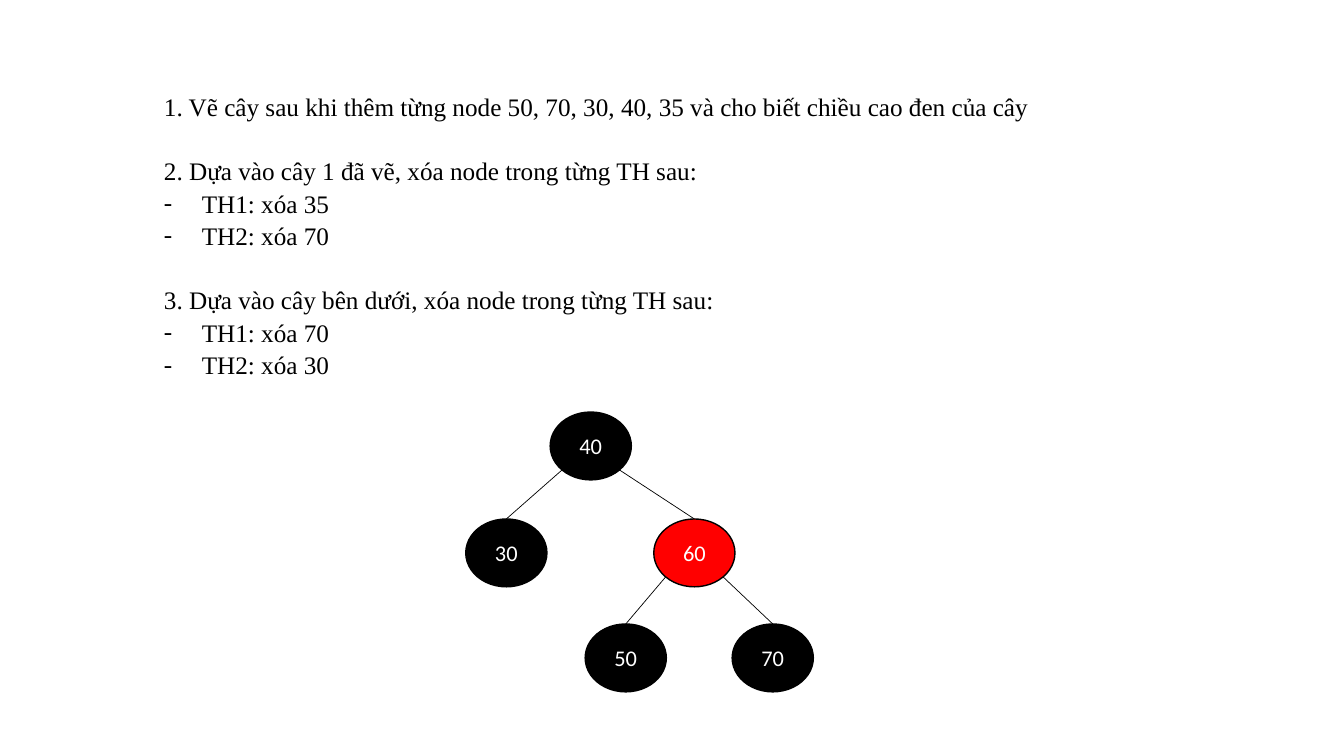
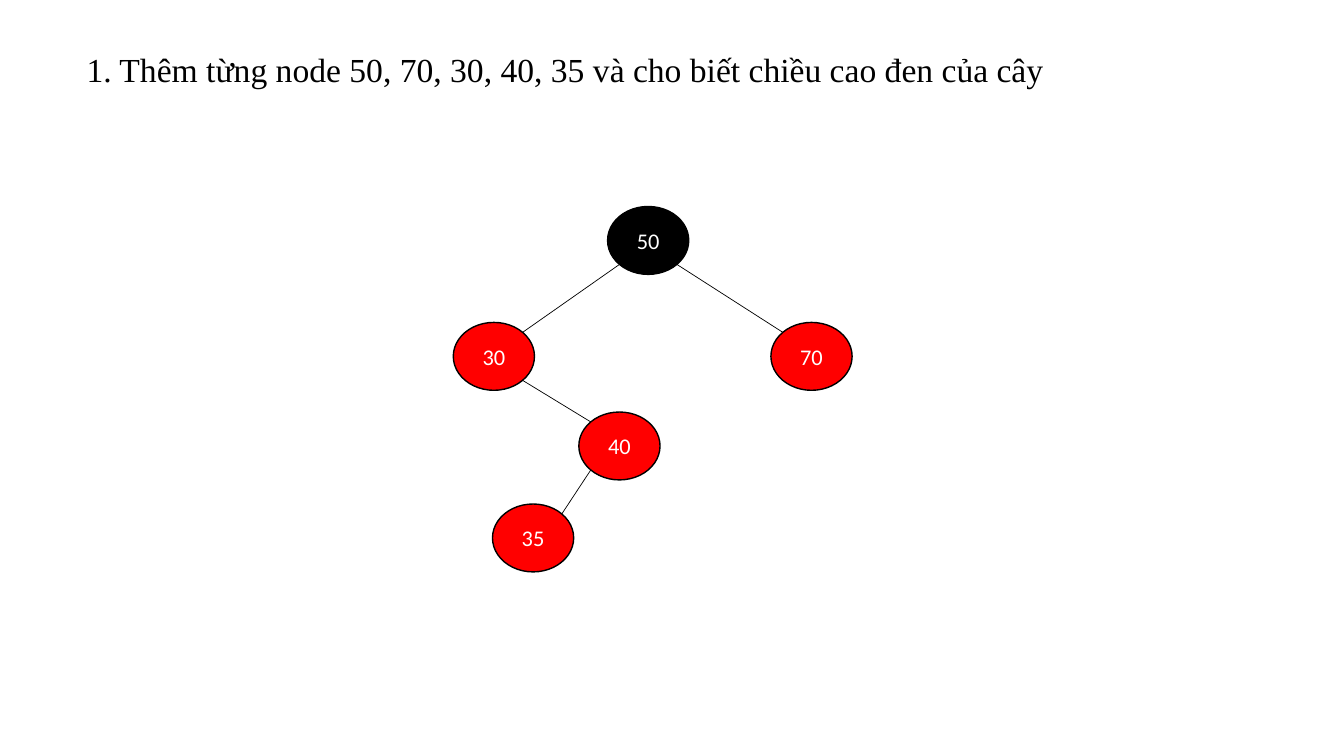
from lxml.etree import SubElement
from pptx import Presentation
from pptx.dml.color import RGBColor
from pptx.enum.shapes import MSO_CONNECTOR, MSO_SHAPE
from pptx.enum.text import MSO_ANCHOR, PP_ALIGN
from pptx.oxml.ns import qn
from pptx.util import Pt

# Content: tasks as (heading, bulleted cases)
TASKS = [
    ("1. Vẽ cây sau khi thêm từng node 50, 70, 30, 40, 35 và cho biết chiều cao đen của cây", []),
    ("2. Dựa vào cây 1 đã vẽ, xóa node trong từng TH sau:", ["TH1: xóa 35", "TH2: xóa 70"]),
    ("3. Dựa vào cây bên dưới, xóa node trong từng TH sau:", ["TH1: xóa 70", "TH2: xóa 30"]),
]
INSERT_TITLE = "1. Thêm từng node 50, 70, 30, 40, 35 và cho biết chiều cao đen của cây"

BLACK, RED, WHITE = "000000", "FF0000", "FFFFFF"
SERIF, SANS = "Times New Roman", "Calibri"

# Trees: node key -> (left, top, fill, parent key)
DELETE_TREE = {
    40: (393, 294.3, BLACK, None),
    30: (332.7, 370.7, BLACK, 40),
    60: (467, 370.7, RED, 40),
    50: (418, 445.7, BLACK, 60),
    70: (523, 445.7, BLACK, 60),
}
INSERT_TREE = {
    50: (434, 147.5, BLACK, None),
    30: (323.8, 230.3, RED, 50),
    70: (550.7, 230.3, RED, 50),
    40: (413.5, 294.3, RED, 30),
    35: (351.8, 360, RED, 40),
}
NODE_WIDTH, NODE_HEIGHT = 58, 48.5
DIAGONAL = 0.5 ** 0.5
INDENT = 27


def color(value):
    return RGBColor.from_string(value)


def write(para, text, size=18, font=SERIF, fill=BLACK, align=None, spacing=None, before=0, bullet=None):
    span = para.add_run()
    span.text = text
    span.font.size, span.font.name = Pt(size), font
    span.font.color.rgb = color(fill)
    para.alignment, para.line_spacing, para.space_before = align, spacing, Pt(before)
    if bullet:
        properties = para._p.get_or_add_pPr()
        properties.set("marL", str(Pt(INDENT)))
        properties.set("indent", str(-Pt(INDENT)))
        SubElement(properties, qn("a:buFont")).set("typeface", font)
        SubElement(properties, qn("a:buChar")).set("char", bullet)


def add_text(page, left, top, width, height, lines):
    frame = page.shapes.add_textbox(Pt(left), Pt(top), Pt(width), Pt(height)).text_frame
    frame.word_wrap = True
    for index, (text, style) in enumerate(lines):
        para = frame.add_paragraph() if index else frame.paragraphs[0]
        write(para, text, spacing=1.07, **style)


def center(node):
    return node[0] + NODE_WIDTH / 2, node[1] + NODE_HEIGHT / 2


def add_edge(page, parent, child, to_top):
    (parent_x, parent_y), (child_x, child_y) = center(parent), center(child)
    side = 1 if child_x > parent_x else -1
    reach_x, reach_y = NODE_WIDTH / 2 * DIAGONAL, NODE_HEIGHT / 2 * DIAGONAL
    end = (child_x, child[1]) if to_top else (child_x - side * reach_x, child_y - reach_y)
    points = (parent_x + side * reach_x, parent_y + reach_y, *end)
    edge = page.shapes.add_connector(MSO_CONNECTOR.STRAIGHT, *[Pt(value) for value in points])
    edge.line.color.rgb, edge.line.width = color(BLACK), Pt(0.5)
    SubElement(edge._element.spPr, qn("a:effectLst"))


def add_tree(page, tree, to_top):
    for key, node in tree.items():
        left, top, fill, parent = node
        oval = page.shapes.add_shape(MSO_SHAPE.OVAL, Pt(left), Pt(top), Pt(NODE_WIDTH), Pt(NODE_HEIGHT))
        oval.shadow.inherit = False
        oval.fill.solid()
        oval.fill.fore_color.rgb = color(fill)
        oval.line.color.rgb, oval.line.width = color(BLACK), Pt(1)
        oval.text_frame.vertical_anchor = MSO_ANCHOR.MIDDLE
        write(oval.text_frame.paragraphs[0], str(key), size=16, font=SANS, fill=WHITE, align=PP_ALIGN.CENTER)
        if parent is not None:
            add_edge(page, tree[parent], node, to_top)


deck = Presentation()
deck.slide_width, deck.slide_height = Pt(960), Pt(540)
blank = deck.slide_layouts[6]

# Slide 1: the three tasks and the tree to delete from
page = deck.slides.add_slide(blank)
lines = []
for number, (heading, cases) in enumerate(TASKS):
    lines.append((heading, {"before": 23 if number else 0}))
    lines += [(case, {"bullet": "-"}) for case in cases]
add_text(page, 110, 60, 710, 216, lines)
add_tree(page, DELETE_TREE, to_top=True)

# Slide 2: the tree after the insertions
page = deck.slides.add_slide(blank)
add_text(page, 54.7, 29.5, 708, 36.7, [(INSERT_TITLE, {"size": 24})])
add_tree(page, INSERT_TREE, to_top=False)

deck.save("out.pptx")
